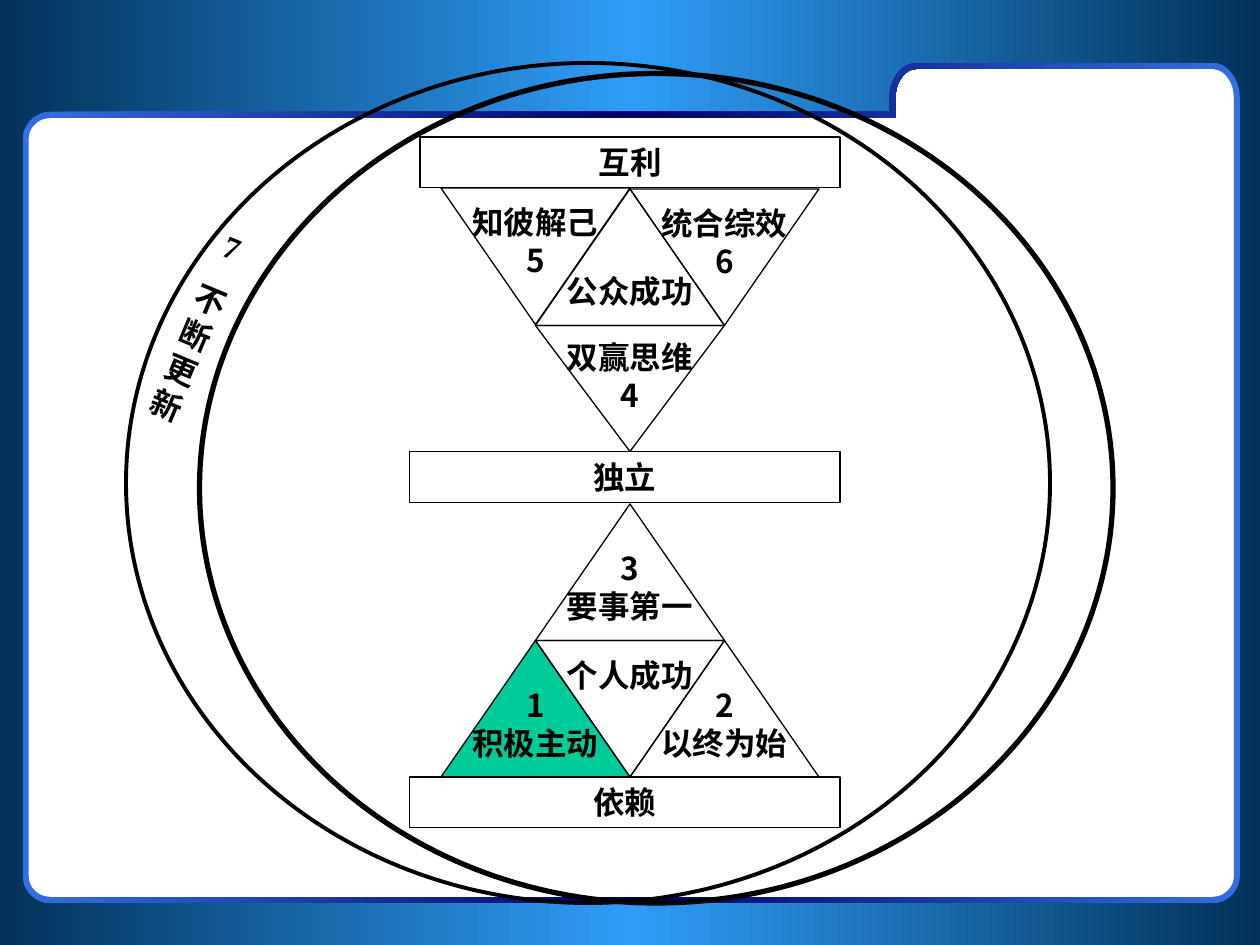
import copy
import math
from dataclasses import dataclass

import pptx
import pptx.dml.color
import pptx.enum.shapes
import pptx.enum.text
import pptx.oxml.ns
import pptx.util

Pt = pptx.util.Pt
SHAPE = pptx.enum.shapes.MSO_SHAPE
ANCHOR = pptx.enum.text.MSO_ANCHOR
AUTO_SIZE = pptx.enum.text.MSO_AUTO_SIZE
qn = pptx.oxml.ns.qn

CJK_FONT, LATIN_FONT = "Noto Sans CJK SC", "Times New Roman"
BLACK, WHITE, GREEN = "000000", "FFFFFF", "00CC99"
TRIANGLE_WIDTH, LINE_HEIGHT = 108, 21.7


@dataclass
class Triangle:
    lines: list[str]
    left: float
    top: float
    points_up: bool
    height: float = 78
    fill: str | None = None


@dataclass
class Bar:
    label: str
    left: float
    top: float
    width: float


@dataclass
class Ring:
    left: float
    top: float
    width: float
    height: float
    weight: float


def rgb(value: str):
    return pptx.dml.color.RGBColor.from_string(value)


def style(shape, fill: str | None = None, weight: float = 0) -> None:
    shape.shadow.inherit = False
    if fill:
        shape.fill.solid()
        shape.fill.fore_color.rgb = rgb(fill)
    else:
        shape.fill.background()
    if weight:
        shape.line.color.rgb = rgb(BLACK)
        shape.line.width = Pt(weight)
    else:
        shape.line.fill.background()


def fill_gradient(shape, edge: str, middle: str) -> None:
    shape.fill.gradient()
    shape.fill.gradient_angle = 0
    stop_list = next(shape._element.iter(qn("a:gsLst")))
    stop_list.insert(1, copy.deepcopy(stop_list[0]))
    for stop, position, color in zip(shape.fill.gradient_stops, (0, 0.5, 1), (edge, middle, edge)):
        stop.position = position
        stop.color.rgb = rgb(color)


def write(shape, lines: list[str], font_name: str, space: float = 0, **frame_format) -> None:
    frame = shape.text_frame
    for name, value in frame_format.items():
        setattr(frame, name, value)
    font_format = {"size": Pt(18), "bold": True, "name": font_name}
    for index, line in enumerate(lines):
        paragraph = frame.paragraphs[0] if index == 0 else frame.add_paragraph()
        paragraph.alignment = pptx.enum.text.PP_ALIGN.CENTER
        if index and space:
            paragraph.space_before = Pt(space)
        run = paragraph.add_run()
        run.text = line
        for name, value in font_format.items():
            setattr(run.font, name, value)
        run.font.color.rgb = rgb(BLACK)
        # East Asian typeface follows the latin one
        east_asian = run._r.get_or_add_rPr().makeelement(qn("a:ea"), {"typeface": CJK_FONT})
        run._r.rPr.find(qn("a:latin")).addnext(east_asian)


def folder_outline(inset: float) -> list[tuple[int, int]]:
    """Rounded folder with a tab at the upper right, clockwise from the notch."""
    left, right = 13 + inset, 708.5 - inset
    tab_left, tab_top = 508.3 + inset, 36 + inset
    panel_top, bottom = 64 + inset, 516 - inset
    rx, tab_ry = 15.5 - inset, 20 - inset
    corners = [
        (tab_left + rx, tab_top + tab_ry, tab_ry, 180),
        (right - rx, tab_top + tab_ry, tab_ry, 270),
        (right - rx, bottom - rx, rx, 0),
        (left + rx, bottom - rx, rx, 90),
        (left + rx, panel_top + rx, rx, 180),
    ]
    points = [(Pt(tab_left), Pt(panel_top))]
    for x, y, ry, start in corners:
        for degrees in range(start, start + 91, 10):
            angle = math.radians(degrees)
            points.append((Pt(x + rx * math.cos(angle)), Pt(y + ry * math.sin(angle))))
    return points


def draw_folder(slide, *insets: float):
    builder = None
    for inset in insets:
        start, *rest = folder_outline(inset)
        if builder is None:
            builder = slide.shapes.build_freeform(*start)
        else:
            builder.move_to(*start)
        builder.add_line_segments(rest, close=True)
    folder = builder.convert_to_shape()
    style(folder, WHITE)
    return folder


def draw_triangle(slide, triangle: Triangle) -> None:
    kind = SHAPE.FLOWCHART_EXTRACT if triangle.points_up else SHAPE.FLOWCHART_MERGE
    shape = slide.shapes.add_shape(
        kind, Pt(triangle.left), Pt(triangle.top), Pt(TRIANGLE_WIDTH), Pt(triangle.height))
    style(shape, triangle.fill, 0.75)
    # Two-line labels move half a line towards the middle of the triangle
    margin = {}
    if len(triangle.lines) > 1:
        side = "margin_bottom" if triangle.points_up else "margin_top"
        margin[side] = Pt(3.6 + LINE_HEIGHT)
    write(shape, triangle.lines, CJK_FONT, word_wrap=False,
          vertical_anchor=ANCHOR.MIDDLE, **margin)


def draw_bar(slide, bar: Bar) -> None:
    shape = slide.shapes.add_shape(
        SHAPE.RECTANGLE, Pt(bar.left), Pt(bar.top), Pt(bar.width), Pt(29))
    style(shape, weight=0.75)
    write(shape, [bar.label], LATIN_FONT, word_wrap=True, vertical_anchor=ANCHOR.TOP,
          auto_size=AUTO_SIZE.SHAPE_TO_FIT_TEXT)


def draw_ring(slide, ring: Ring) -> None:
    shape = slide.shapes.add_shape(
        SHAPE.OVAL, Pt(ring.left), Pt(ring.top), Pt(ring.width), Pt(ring.height))
    style(shape, weight=ring.weight)


LEFT, CENTRE, RIGHT = (252 + step * TRIANGLE_WIDTH / 2 for step in range(3))
TRIANGLES = [
    Triangle(["公众成功"], CENTRE, 108, True),
    Triangle(["1", "积极主动"], LEFT, 366, True, fill=GREEN),
    Triangle(["个人成功"], CENTRE, 366, False),
    Triangle(["2", "以终为始"], RIGHT, 366, True),
    Triangle(["3", "要事第一"], CENTRE, 288, True),
    Triangle(["双赢思维", "4"], CENTRE, 186, False, height=72),
    Triangle(["知彼解己", "5"], LEFT, 107.5, False),
    Triangle(["统合综效", "6"], RIGHT, 108, False),
]
RINGS = [Ring(72, 36, 528, 480, 2.25), Ring(114, 42, 522, 474, 3)]
BARS = [Bar("互利", 240, 78.25, 240), Bar("独立", 234, 258, 246), Bar("依赖", 234, 444, 246)]


def main() -> None:
    deck = pptx.Presentation()
    deck.slide_width, deck.slide_height = Pt(720), Pt(540)
    slide = deck.slides.add_slide(deck.slide_layouts[6])

    # Backdrop and folder
    backdrop = slide.shapes.add_shape(SHAPE.RECTANGLE, 0, 0, Pt(720), Pt(540))
    style(backdrop)
    fill_gradient(backdrop, "02325A", "2F9DF7")
    draw_folder(slide, 2)
    fill_gradient(draw_folder(slide, 0, 3.4), "346EE2", "000066")

    # Seven habits
    for triangle in TRIANGLES:
        draw_triangle(slide, triangle)
    for ring in RINGS:
        draw_ring(slide, ring)
    for bar in BARS:
        draw_bar(slide, bar)

    # Renewal label along the outer ring
    renewal = slide.shapes.add_textbox(Pt(97.2), Pt(123), Pt(33.8), Pt(126.7))
    renewal.rotation = 22.5
    write(renewal, ["7", "不断更新"], LATIN_FONT, space=11.2, word_wrap=True,
          auto_size=AUTO_SIZE.SHAPE_TO_FIT_TEXT)

    deck.save("out.pptx")


if __name__ == "__main__":
    main()
